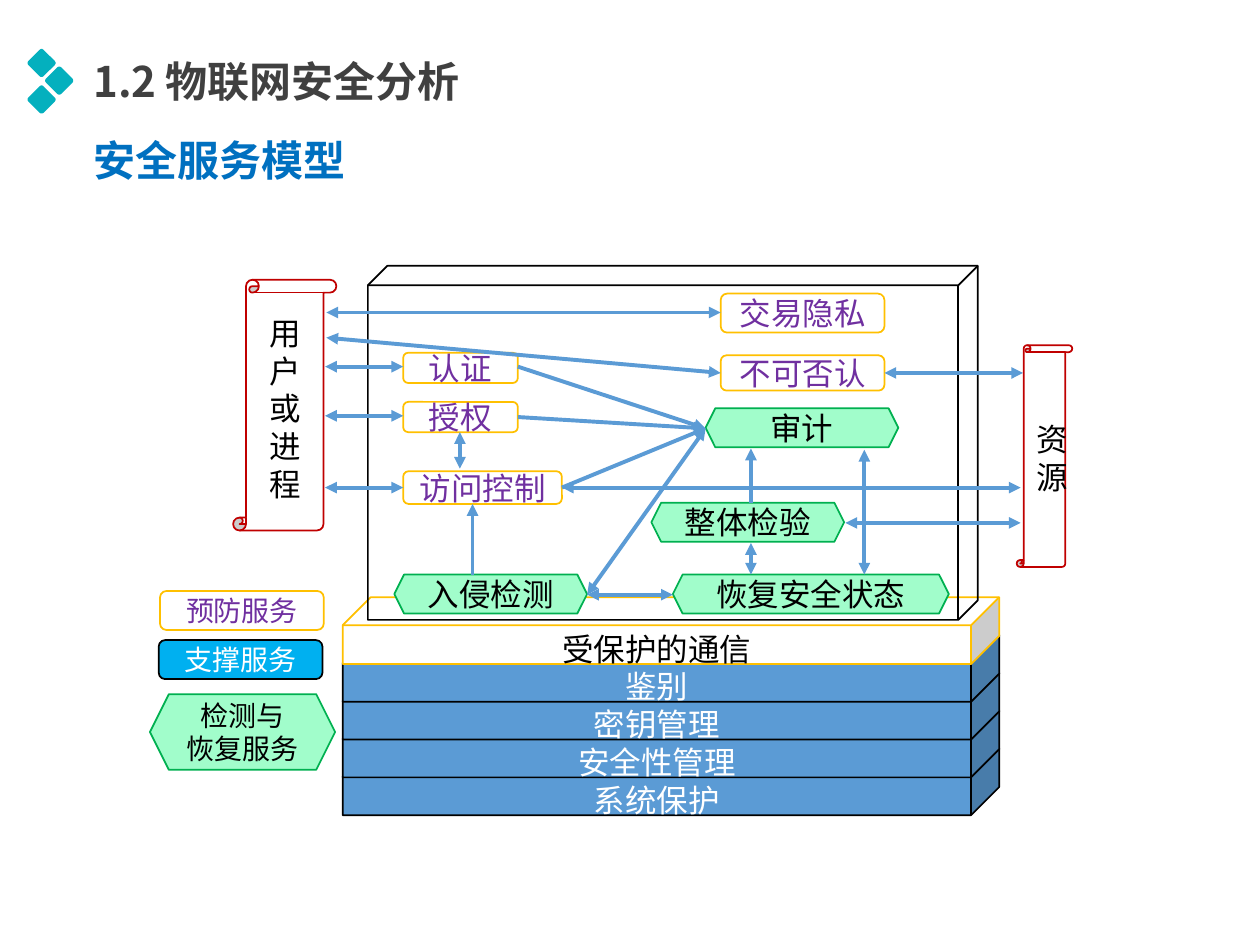
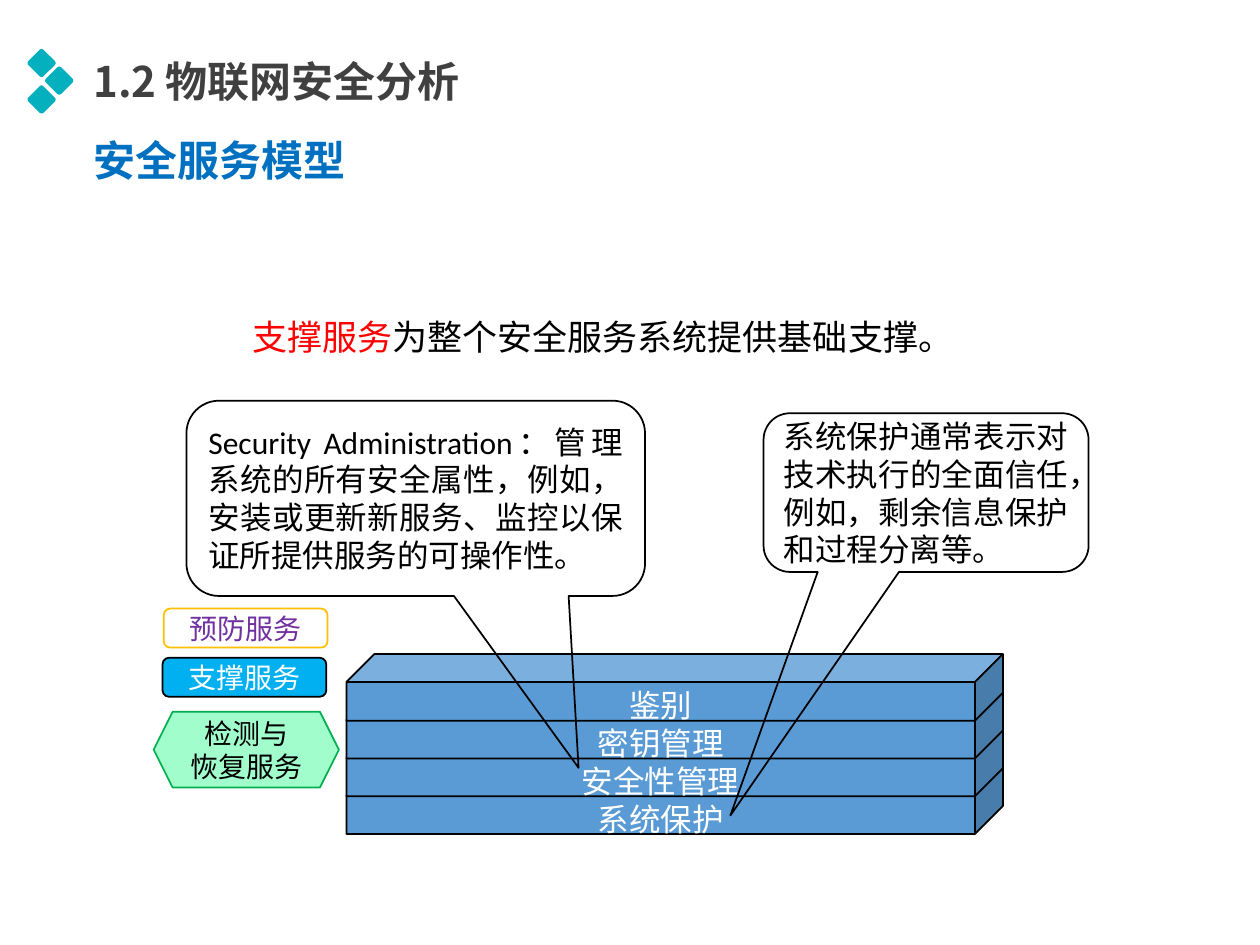
from lxml import etree
from pptx import Presentation, util as u
from pptx.dml.color import RGBColor
from pptx.enum import shapes, text
from pptx.oxml.ns import qn

KIND = shapes.MSO_SHAPE
ALIGN = text.PP_ALIGN
SANS, SANS_JP, LATIN = "Noto Sans CJK SC", "Noto Sans CJK JP", "Calibri"
BLACK, WHITE, RED = "000000", "FFFFFF", "FF0000"
TEAL, TITLE_GREY, HEADING_BLUE = "04B0BE", "404040", "0070C0"
BLUE, SKY, PURPLE, GOLD = "5B9BD5", "00B0F0", "7030A0", "FFC000"
MINT, GREEN, SCROLL_RED = "A1FDCB", "00B050", "C00000"

PREVENTION = (KIND.ROUNDED_RECTANGLE, WHITE, GOLD, PURPLE)
SUPPORT = (KIND.ROUNDED_RECTANGLE, SKY, BLACK, WHITE)
DETECTION = (KIND.HEXAGON, MINT, GREEN, BLACK)
SCROLL = (KIND.VERTICAL_SCROLL, WHITE, SCROLL_RED, BLACK)
SUPPORT_LAYER = (KIND.CUBE, BLUE, BLACK, WHITE)
PROTECTED_LAYER = (KIND.CUBE, WHITE, GOLD, BLACK)
FRAME = (KIND.CUBE, None, BLACK, BLACK)
CALLOUT = (KIND.ROUNDED_RECTANGULAR_CALLOUT, None, BLACK, BLACK)

LAYER_STEP = 0.3
LAYER_SIZE = (5.21, 0.53)
SUPPORT_NAMES = ["鉴别", "密钥管理", "安全性管理", "系统保护"]


def color(hex_code):
    return RGBColor.from_string(hex_code)


def place(origin, left, top, width, height):
    return [u.Inches(v) for v in (origin[0] + left, origin[1] + top, width, height)]


def set_margins(frame, left, top, right, bottom):
    frame.margin_left, frame.margin_top = u.Inches(left), u.Inches(top)
    frame.margin_right, frame.margin_bottom = u.Inches(right), u.Inches(bottom)


def format_run(run, size, ink, font, bold=False):
    run.font.size = u.Pt(size)
    run.font.bold = bold
    run.font.color.rgb = color(ink)
    run.font.name = font
    east_asian = etree.SubElement(run._r.get_or_add_rPr(), qn("a:ea"))
    east_asian.set("typeface", SANS if font == LATIN else font)


def write(frame, words, size, ink, font, align, bold=False, spacing=None):
    frame.text = words
    frame.word_wrap = True
    for paragraph in frame.paragraphs:
        paragraph.alignment = align
        if spacing:
            paragraph.line_spacing = spacing
        for run in paragraph.runs:
            format_run(run, size, ink, font, bold)


def add_part(slide, look, box, words="", size=18, font=SANS_JP,
             align=ALIGN.CENTER, adjust=(), spacing=None):
    kind, fill, outline, ink = look
    part = slide.shapes.add_shape(kind, *box)
    part.shadow.inherit = False
    if fill:
        part.fill.solid()
        part.fill.fore_color.rgb = color(fill)
    else:
        part.fill.background()
    if outline:
        part.line.color.rgb = color(outline)
        part.line.width = u.Pt(1)
    else:
        part.line.fill.background()
    for index, value in enumerate(adjust):
        part.adjustments[index] = value
    if words:
        part.text_frame.vertical_anchor = text.MSO_ANCHOR.MIDDLE
        write(part.text_frame, words, size, ink, font, align, spacing=spacing)
    return part


def add_arrow(slide, origin, start, end, both_ends):
    ends = [u.Inches(origin[i % 2] + v) for i, v in enumerate((*start, *end))]
    arrow = slide.shapes.add_connector(shapes.MSO_CONNECTOR.STRAIGHT, *ends)
    arrow.line.color.rgb = color(BLUE)
    arrow.line.width = u.Pt(2.25)
    line = arrow.line._get_or_add_ln()
    for tag in ("a:headEnd", "a:tailEnd") if both_ends else ("a:tailEnd",):
        etree.SubElement(line, qn(tag)).set("type", "triangle")
    etree.SubElement(arrow._element.spPr, qn("a:effectLst"))


def add_header(slide, origin=(0.22, 0.39)):
    side = 0.17
    for center_x, center_y in [(0.11, 0.11), (0.25, 0.25), (0.11, 0.4)]:
        diamond = add_part(
            slide, (KIND.ROUNDED_RECTANGLE, TEAL, None, WHITE),
            place(origin, center_x - side / 2, center_y - side / 2, side, side),
            adjust=[0.12])
        diamond.rotation = 45

    title = slide.shapes.title
    title.left, title.top, title.width, title.height = place(origin, 0.45, 0.01, 3.45, 0.48)
    heading = slide.shapes.add_textbox(*place(origin, 0.45, 0.64, 2.56, 0.48))
    for holder, words, ink in [(title, "1.2 物联网安全分析", TITLE_GREY),
                               (heading, "安全服务模型", HEADING_BLUE)]:
        frame = holder.text_frame
        write(frame, words, 24, ink, SANS, ALIGN.LEFT, bold=True)
        set_margins(frame, 0.07, 0.04, 0.07, 0.04)
        frame.vertical_anchor = text.MSO_ANCHOR.TOP
        frame.auto_size = text.MSO_AUTO_SIZE.SHAPE_TO_FIT_TEXT


def add_layers(slide, origin, layers):
    for index, (name, look) in reversed(list(enumerate(layers))):
        layer = add_part(slide, look, place(origin, 0, index * LAYER_STEP, *LAYER_SIZE),
                         name, adjust=[0.42], spacing=1.2)
        set_margins(layer.text_frame, 0, 0, 0, 0)


def add_legend(slide, origin):
    for look, box, words in [
        (PREVENTION, (0.08, 0, 1.3, 0.31), "预防服务"),
        (SUPPORT, (0.07, 0.39, 1.3, 0.31), "支撑服务"),
        (DETECTION, (0, 0.82, 1.47, 0.6), "检测与\n恢复服务"),
    ]:
        add_part(slide, look, place(origin, *box), words, size=16)


def add_services(slide, origin):
    add_part(slide, FRAME, place(origin, 1.12, 0.01, 4.84, 2.81), adjust=[0.055])
    for look, box, words in [
        (PREVENTION, (1.4, 0.7, 0.91, 0.24), "认证"),
        (PREVENTION, (1.4, 1.09, 0.91, 0.24), "授权"),
        (PREVENTION, (1.4, 1.64, 1.26, 0.26), "访问控制"),
        (PREVENTION, (3.92, 0.23, 1.3, 0.31), "交易隐私"),
        (PREVENTION, (3.92, 0.72, 1.3, 0.28), "不可否认"),
        (DETECTION, (1.33, 2.46, 1.53, 0.31), "入侵检测"),
        (DETECTION, (3.8, 1.14, 1.53, 0.31), "审计"),
        (DETECTION, (3.37, 1.89, 1.53, 0.31), "整体检验"),
        (DETECTION, (3.54, 2.46, 2.19, 0.31), "恢复安全状态"),
    ]:
        add_part(slide, look, place(origin, *box), words)


def add_flows(slide, origin):
    audit, access, intrusion = (3.8, 1.3), (2.66, 1.77), (2.86, 2.62)
    two_way = [
        ((0.79, 0.38), (3.92, 0.38)),
        ((0.78, 0.81), (1.4, 0.81)),
        ((0.78, 1.2), (1.4, 1.2)),
        ((0.78, 1.77), (1.4, 1.77)),
        ((1.85, 1.62), (1.85, 1.33)),
        ((5.06, 2.46), (5.06, 1.47)),
        ((4.16, 2.46), (4.16, 2.21)),
        ((0.79, 0.58), (3.92, 0.86)),
        (intrusion, audit),
        (intrusion, (3.54, 2.62)),
        ((5.22, 0.86), (6.32, 0.86)),
        (access, (6.3, 1.77)),
        ((4.91, 2.05), (6.3, 2.05)),
    ]
    one_way = [
        ((1.95, 2.46), (1.95, 1.9)),
        ((4.16, 1.89), (4.16, 1.46)),
        ((2.31, 0.81), audit),
        ((2.31, 1.21), audit),
        (access, audit),
    ]
    for flows, both_ends in [(two_way, True), (one_way, False)]:
        for start, end in flows:
            add_arrow(slide, origin, start, end, both_ends)


def add_actors(slide, origin):
    add_part(slide, SCROLL, place(origin, 6.27, 0.64, 0.44, 1.76), "资源")
    add_part(slide, SCROLL, place(origin, 0.05, 0.12, 0.82, 1.99), "用户\n或\n进程")


def add_statement(slide, origin):
    statement = slide.shapes.add_textbox(*place(origin, 0, 0, 5.98, 0.46))
    frame = statement.text_frame
    write(frame, "支撑服务", 20, RED, SANS, ALIGN.JUSTIFY, spacing=1.2)
    set_margins(frame, 0.06, 0, 0.18, 0)
    frame.vertical_anchor = text.MSO_ANCHOR.MIDDLE
    rest = frame.paragraphs[0].add_run()
    rest.text = "为整个安全服务系统提供基础支撑。"
    format_run(rest, 20, BLACK, SANS)


def add_callouts(slide, origin):
    for box, pointer, words in [
        ((4.58, 0.1, 2.58, 1.26), (-0.602, 2.034),
         "系统保护通常表示对技术执行的全面信任，例如，剩余信息保护和过程分离等。"),
        ((0, 0, 3.64, 1.55), (0.355, 1.38),
         "Security Administration：管理系统的所有安全属性，例如，"
         "安装或更新新服务、监控以保证所提供服务的可操作性。"),
    ]:
        add_part(slide, CALLOUT, place(origin, *box), words, font=LATIN,
                 align=ALIGN.JUSTIFY, adjust=(*pointer, 0.167))


def new_slide(deck):
    slide = deck.slides.add_slide(deck.slide_layouts[5])
    add_header(slide)
    return slide


def build_model_slide(deck):
    slide = new_slide(deck)
    model = (1.8, 2.1)
    layers = [("受保护的通信", PROTECTED_LAYER)]
    layers += [(name, SUPPORT_LAYER) for name in SUPPORT_NAMES]
    add_layers(slide, (2.72, 4.74), layers)
    add_services(slide, model)
    add_legend(slide, (1.19, 4.69))
    add_flows(slide, model)
    add_actors(slide, model)


def build_support_slide(deck):
    slide = new_slide(deck)
    add_layers(slide, (2.75, 5.19), [(name, SUPPORT_LAYER) for name in SUPPORT_NAMES])
    add_statement(slide, (1.94, 2.41))
    add_legend(slide, (1.22, 4.83))
    add_callouts(slide, (1.48, 3.18))


def main():
    deck = Presentation()
    deck.slide_width, deck.slide_height = u.Inches(10), u.Inches(7.5)
    build_model_slide(deck)
    build_support_slide(deck)
    deck.save("out.pptx")


if __name__ == "__main__":
    main()
